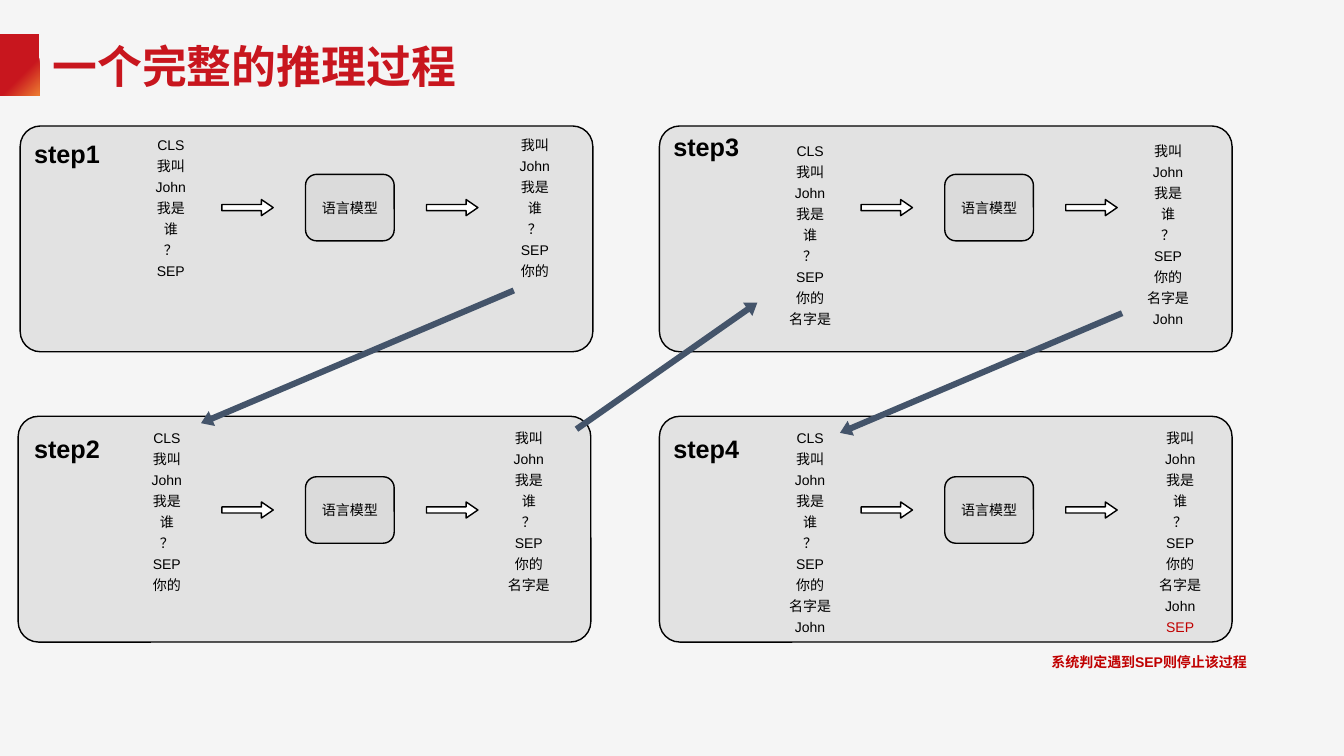
from pptx import Presentation
from pptx.dml.color import RGBColor
from pptx.enum.shapes import MSO_SHAPE
from pptx.enum.text import MSO_ANCHOR, MSO_AUTO_SIZE, PP_ALIGN
from pptx.oxml.ns import qn
from pptx.util import Inches, Pt

BLACK = RGBColor(0x00, 0x00, 0x00)
WHITE = RGBColor(0xFF, 0xFF, 0xFF)
BACKGROUND = RGBColor(0xF5, 0xF5, 0xF5)
PANEL_GRAY = RGBColor(0xD9, 0xD9, 0xD9)
MODEL_GRAY = RGBColor(0xDB, 0xDB, 0xDB)
SLATE = RGBColor(0x44, 0x54, 0x6A)
TITLE_RED = RGBColor(0xC8, 0x16, 0x1E)
ORANGE = RGBColor(0xED, 0x7D, 0x31)
STOP_RED = RGBColor(0xC0, 0x00, 0x00)

LATIN_FONT = "Arial"
CJK_FONT = "Noto Sans CJK SC"

TOKENS = ["CLS", "我叫", "John", "我是", "谁", "？", "SEP",
          "你的", "名字是", "John", "SEP"]
FIRST_INPUT = 7
LINE_HEIGHT = 0.21

# Panel corner, then offsets from it: label, input tokens, model, output tokens
STEPS = [
    ((0.2, 1.25), (0.04, 0.07), (1.11, 0.01), (2.83, 0.48), (4.72, 0.01)),
    ((0.18, 4.13), (0.06, 0.12), (1.09, 0.04), (2.85, 0.6), (4.68, 0.04)),
    ((6.54, 1.25), (0.04, 0), (1.11, 0.07), (2.83, 0.48), (4.66, 0.07)),
    ((6.54, 4.13), (0.04, 0.12), (1.11, 0.04), (2.83, 0.6), (4.78, 0.04)),
]

# Left, top, width, rotation of the arrows leading from step to step
LINKS = [(5.52, 3.55, 2.19, 325), (8.21, 3.62, 3.04, 157), (1.86, 3.46, 3.37, 157)]


def add_run(p, text, size, color, bold=False, latin=LATIN_FONT):
    r = p.add_run()
    r.text = text
    r.font.size = Pt(size)
    r.font.bold = bold
    r.font.color.rgb = color
    r.font.name = latin
    ea = r.font._element.makeelement(qn("a:ea"), {"typeface": CJK_FONT})
    r.font._element.find(qn("a:latin")).addnext(ea)


def add_box(slide, kind, left, top, width, height, fill, line=BLACK):
    sp = slide.shapes.add_shape(kind, Inches(left), Inches(top),
                                Inches(width), Inches(height))
    sp.shadow.inherit = False
    sp.fill.solid()
    sp.fill.fore_color.rgb = fill
    if line is None:
        sp.line.fill.background()
    else:
        sp.line.color.rgb = line
        sp.line.width = Pt(1)
    return sp


def add_arrow(slide, left, top, width, fill=WHITE, line=BLACK):
    sp = add_box(slide, MSO_SHAPE.RIGHT_ARROW, left, top, width, 0.16, fill, line)
    sp.adjustments[0] = 0.38
    sp.adjustments[1] = 0.73
    return sp


def add_text_frame(slide, left, top, width, height):
    sp = slide.shapes.add_textbox(Inches(left), Inches(top),
                                  Inches(width), Inches(height))
    tf = sp.text_frame
    tf.word_wrap = True
    return tf


def add_label(slide, left, top, width, height, text, size, color):
    tf = add_text_frame(slide, left, top, width, height)
    add_run(tf.paragraphs[0], text, size, color, bold=True)


def add_tokens(slide, left, top, tokens, last_color=BLACK):
    height = 0.1 + LINE_HEIGHT * len(tokens)
    tf = add_text_frame(slide, left, top, 0.77, height)
    for i, token in enumerate(tokens):
        p = tf.add_paragraph() if i else tf.paragraphs[0]
        p.alignment = PP_ALIGN.CENTER
        p.line_spacing = 1.25
        add_run(p, token, 10, last_color if i == len(tokens) - 1 else BLACK)


def add_model(slide, left, top):
    """Draw the model box with an arrow on each side."""
    sp = add_box(slide, MSO_SHAPE.ROUNDED_RECTANGLE, left, top, 0.88, 0.66, MODEL_GRAY)
    tf = sp.text_frame
    tf.vertical_anchor = MSO_ANCHOR.MIDDLE
    p = tf.paragraphs[0]
    p.alignment = PP_ALIGN.CENTER
    add_run(p, "语言模型", 10, BLACK)
    for dx in (-0.83, 1.2):
        add_arrow(slide, left + dx, top + 0.25, 0.51)


def add_step(slide, number, corner, *offsets):
    left, top = corner
    panel = add_box(slide, MSO_SHAPE.ROUNDED_RECTANGLE, left, top, 5.68, 2.24, PANEL_GRAY)
    panel.adjustments[0] = 0.09
    color = panel.fill._xPr.find(qn("a:solidFill"))[0]
    color.append(color.makeelement(qn("a:alpha"), {"val": "68000"}))

    label, inputs, model, outputs = [(left + dx, top + dy) for dx, dy in offsets]
    count = FIRST_INPUT + number - 1
    add_label(slide, *label, 1, 0.4, f"step{number}", 18, BLACK)
    add_tokens(slide, *inputs, TOKENS[:count])
    add_model(slide, *model)
    add_tokens(slide, *outputs, TOKENS[1:count + 1],
               STOP_RED if number == len(STEPS) else BLACK)


def add_header(slide):
    sp = add_box(slide, MSO_SHAPE.RECTANGLE, 0, 0.34, 0.39, 0.61, TITLE_RED, None)
    sp.fill.gradient()
    sp.fill.gradient_angle = 315
    stops = sp.fill.gradient_stops
    for stop, position, color in zip(stops, (0.62, 1), (TITLE_RED, ORANGE)):
        stop.position = position
        stop.color.rgb = color

    title = slide.shapes.title
    title.left, title.top = Inches(0.42), Inches(0.29)
    title.width, title.height = Inches(9.78), Inches(0.72)
    tf = title.text_frame
    tf.auto_size = MSO_AUTO_SIZE.NONE
    tf.vertical_anchor = MSO_ANCHOR.MIDDLE
    p = tf.paragraphs[0]
    p.alignment = PP_ALIGN.LEFT
    add_run(p, "一个完整的推理过程", 32, TITLE_RED, bold=True, latin=CJK_FONT)


def add_links(slide):
    for left, top, width, rotation in LINKS:
        sp = add_arrow(slide, left, top, width, SLATE, None)
        sp.rotation = rotation


def main():
    prs = Presentation()
    prs.slide_width, prs.slide_height = Inches(13.33), Inches(7.5)
    slide = prs.slides.add_slide(prs.slide_layouts[5])
    slide.background.fill.solid()
    slide.background.fill.fore_color.rgb = BACKGROUND

    add_header(slide)
    for number, step in enumerate(STEPS, 1):
        add_step(slide, number, *step)
    add_links(slide)
    add_label(slide, 10.33, 6.43, 2.25, 0.27, "系统判定遇到SEP则停止该过程", 10, STOP_RED)
    prs.save("out.pptx")


if __name__ == "__main__":
    main()
